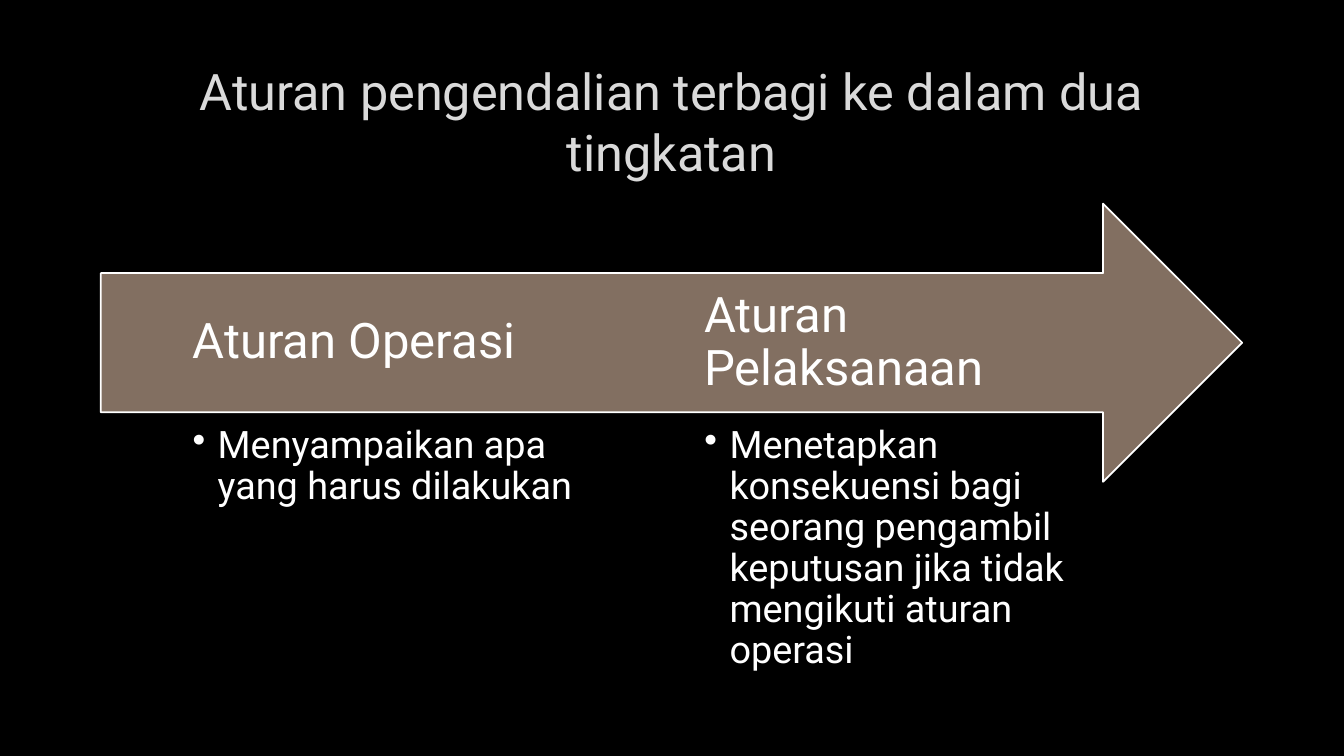
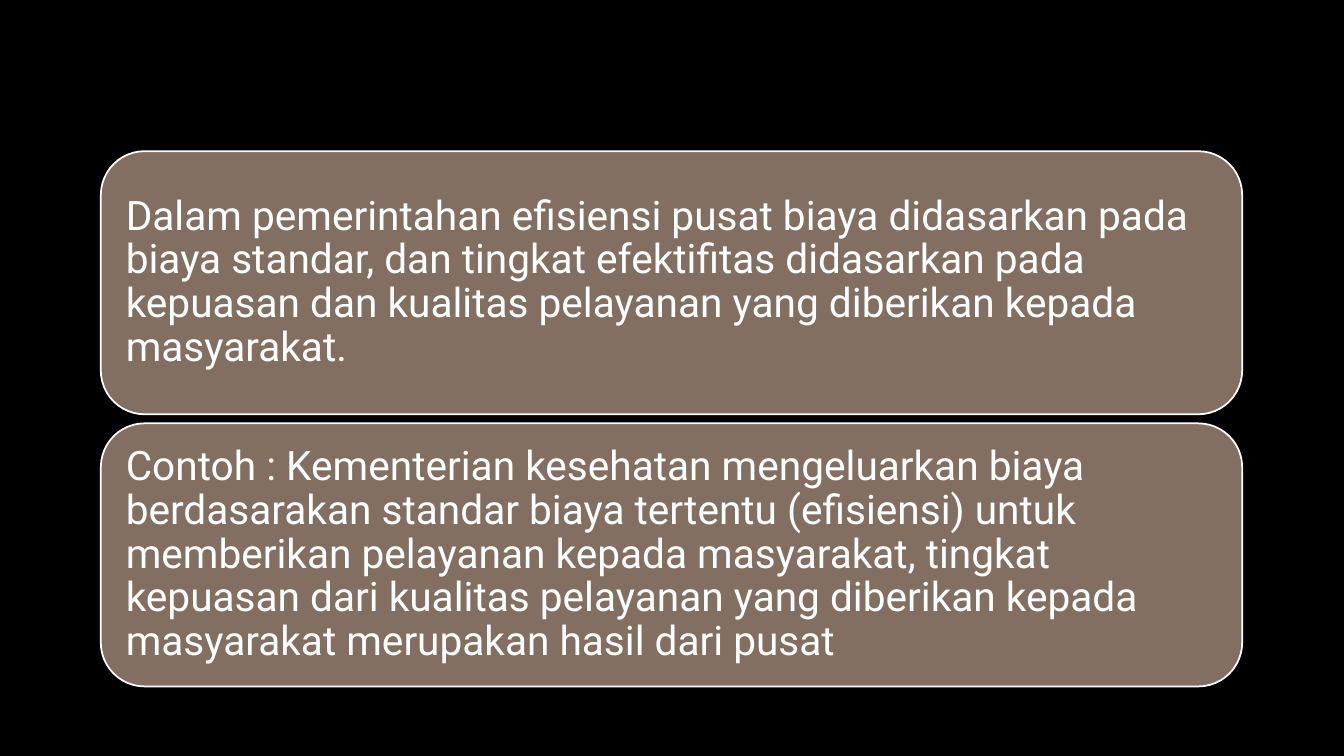
from dataclasses import dataclass

import pptx
import pptx.dml.color
import pptx.enum.shapes
import pptx.enum.text
import pptx.oxml
import pptx.oxml.ns
import pptx.util

Inches = pptx.util.Inches
Anchor = pptx.enum.text.MSO_ANCHOR
Align = pptx.enum.text.PP_ALIGN
Preset = pptx.enum.shapes.MSO_SHAPE


@dataclass(frozen=True)
class Theme:
    font: str = "Roboto"
    background: str = "000000"
    panel: str = "826F61"
    text: str = "FFFFFF"
    title: str = "DADADA"
    title_size: int = 36
    heading_size: int = 35
    panel_size: int = 29
    bullet_size: int = 27
    outline: float = 1.25
    spacing: float = 0.9


THEME = Theme()
LEFT, WIDTH = 1, 11.32

RULES_TITLE = "Aturan pengendalian terbagi ke dalam dua tingkatan"
RULES = [
    ("Aturan Operasi", "Menyampaikan apa yang harus dilakukan"),
    ("Aturan Pelaksanaan",
     "Menetapkan konsekuensi bagi seorang pengambil keputusan jika tidak "
     "mengikuti aturan operasi"),
]
STATEMENTS = [
    "Dalam pemerintahan efisiensi pusat biaya didasarkan pada biaya standar, "
    "dan tingkat efektifitas didasarkan pada kepuasan dan kualitas pelayanan "
    "yang diberikan kepada masyarakat.",
    "Contoh : Kementerian kesehatan mengeluarkan biaya berdasarakan standar "
    "biaya tertentu (efisiensi) untuk memberikan pelayanan kepada masyarakat, "
    "tingkat kepuasan dari kualitas pelayanan yang diberikan kepada masyarakat "
    "merupakan hasil dari pusat",
]


def color(value):
    return pptx.dml.color.RGBColor.from_string(value)


def add_page(deck):
    page = deck.slides.add_slide(deck.slide_layouts[6])
    fill = page.background.fill
    fill.solid()
    fill.fore_color.rgb = color(THEME.background)
    return page


def add_bullet(para, indent):
    properties = para._p.get_or_add_pPr()
    properties.set("marL", str(Inches(indent)))
    properties.set("indent", str(-Inches(indent)))
    bullet = pptx.oxml.parse_xml(
        f'<a:buChar {pptx.oxml.ns.nsdecls("a")} char="•"/>')
    properties.append(bullet)


def write(shape, text, size, ink=THEME.text, anchor=Anchor.MIDDLE,
          align=Align.LEFT, inset=(0, 0), spacing=THEME.spacing, bullet=False):
    """Fill a shape with one paragraph; inset is (horizontal, vertical)."""
    frame = shape.text_frame
    frame.word_wrap = True
    frame.vertical_anchor = anchor
    frame.margin_left = frame.margin_right = Inches(inset[0])
    frame.margin_top = frame.margin_bottom = Inches(inset[1])
    para = frame.paragraphs[0]
    para.text = text
    para.alignment = align
    para.line_spacing = spacing
    if bullet:
        add_bullet(para, 0.25)
    para.font.name = THEME.font
    para.font.size = pptx.util.Pt(size)
    para.font.color.rgb = color(ink)


def add_box(page, left, top, width, height):
    return page.shapes.add_textbox(*map(Inches, (left, top, width, height)))


def add_panel(page, preset, left, top, width, height):
    panel = page.shapes.add_shape(
        preset, *map(Inches, (left, top, width, height)))
    panel.shadow.inherit = False
    panel.fill.solid()
    panel.fill.fore_color.rgb = color(THEME.panel)
    panel.line.color.rgb = color(THEME.text)
    panel.line.width = pptx.util.Pt(THEME.outline)
    return panel


def add_title(page, text):
    box = add_box(page, LEFT, 0.67, WIDTH, 1.06)
    write(box, text, THEME.title_size, ink=THEME.title, align=Align.CENTER,
          inset=(0.1, 0.05), spacing=1.0)


def add_arrow_columns(page, columns, left, top, width, height):
    """Draw an arrow with headings on its shaft and bullets below it."""
    add_panel(page, Preset.RIGHT_ARROW, left, top, width, height)
    shaft_height = height / 2
    shaft_top = top + height / 4
    bullet_top = shaft_top + shaft_height * 1.1
    column_width = 4.23
    for index, (heading, detail) in enumerate(columns):
        column_left = left + 0.91 + index * column_width * 1.2
        box = add_box(page, column_left, shaft_top, column_width, shaft_height)
        write(box, heading, THEME.heading_size)
        box = add_box(page, column_left, bullet_top, column_width, 1.99)
        write(box, detail, THEME.bullet_size, anchor=Anchor.TOP, bullet=True)


def add_panel_stack(page, texts, left, top, width, height, gap):
    """Share the height equally among rounded text panels."""
    panel_height = (height - gap * (len(texts) - 1)) / len(texts)
    for index, text in enumerate(texts):
        panel_top = top + index * (panel_height + gap)
        panel = add_panel(page, Preset.ROUNDED_RECTANGLE,
                          left, panel_top, width, panel_height)
        write(panel, text, THEME.panel_size, inset=(0.12, 0.12))


def main():
    deck = pptx.Presentation()
    deck.slide_width, deck.slide_height = Inches(13.33), Inches(7.5)

    rules_page = add_page(deck)
    add_title(rules_page, RULES_TITLE)
    add_arrow_columns(rules_page, RULES, LEFT, 2.02, WIDTH, 2.76)

    statements_page = add_page(deck)
    add_panel_stack(statements_page, STATEMENTS, LEFT, 1.5, WIDTH, 5.31, 0.09)

    deck.save("out.pptx")


if __name__ == "__main__":
    main()
